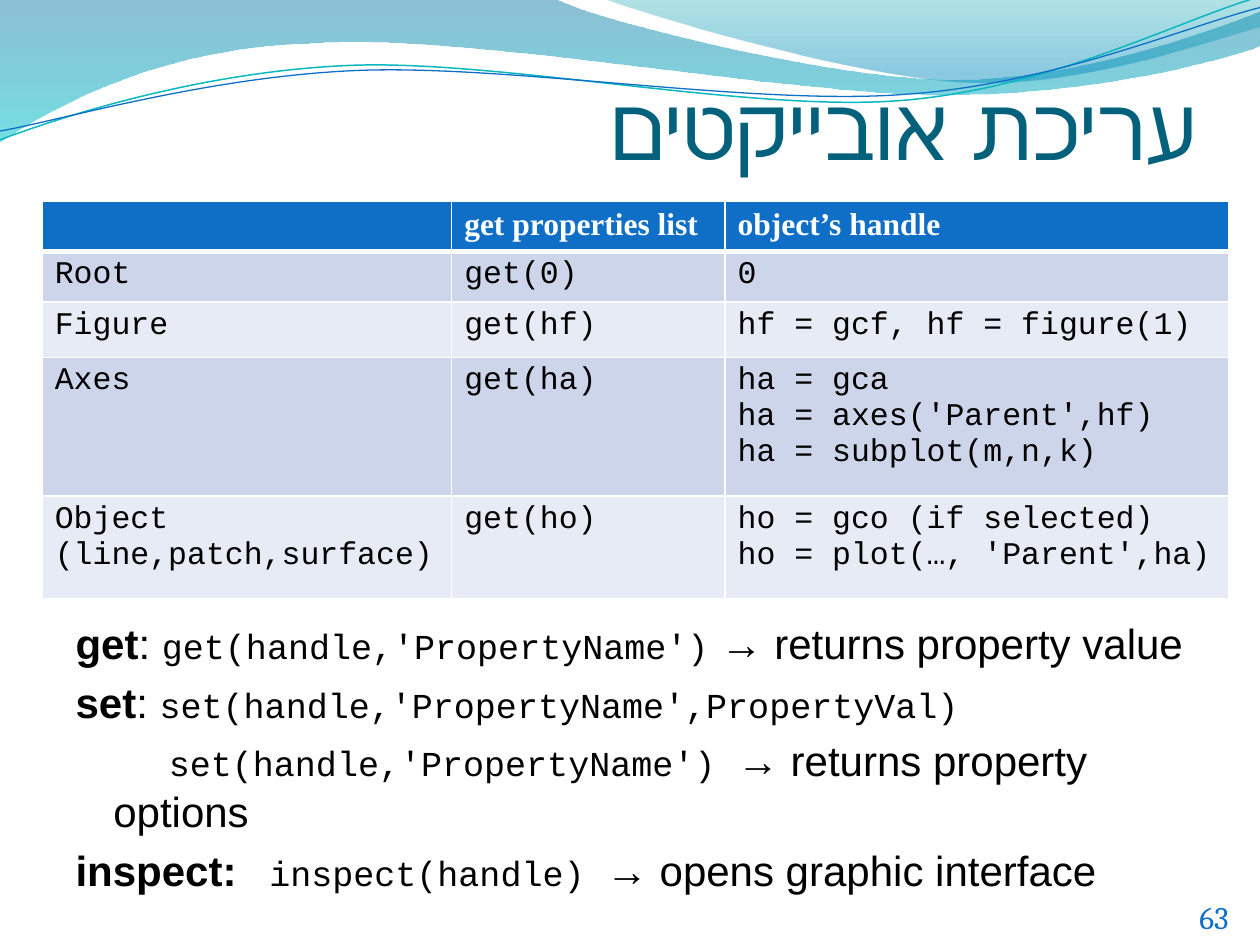
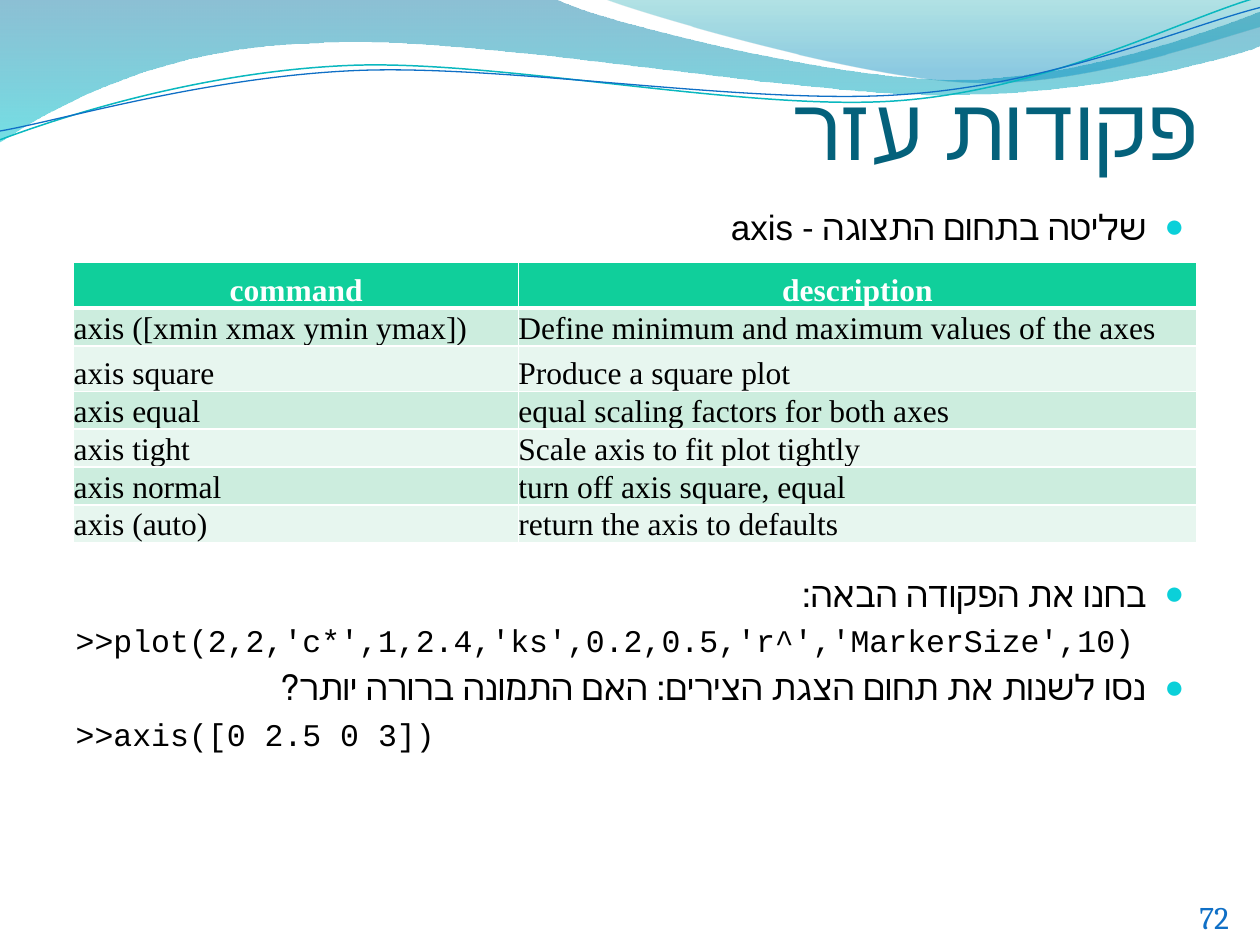
from dataclasses import dataclass

from lxml import etree
from pptx import Presentation
from pptx.dml.color import RGBColor
from pptx.enum.text import MSO_ANCHOR, MSO_AUTO_SIZE, PP_ALIGN
from pptx.oxml.ns import qn
from pptx.util import Inches, Pt

BOTTOM, TOP = MSO_ANCHOR.BOTTOM, MSO_ANCHOR.TOP
LEFT, CENTER, RIGHT = PP_ALIGN.LEFT, PP_ALIGN.CENTER, PP_ALIGN.RIGHT
NO_FIT = MSO_AUTO_SIZE.NONE
COLUMNS, ROWS = 100, 75


@dataclass(frozen=True)
class Type:
    font: str
    size: float
    color: str = "000000"
    bold: bool = False


@dataclass(frozen=True)
class Theme:
    title = Type("Arial", 50, "04617B")
    number = Type("Cambria", 18, "0F6FC6")
    text = Type("Arial", 24)
    strong = Type("Arial", 24, bold=True)
    code = Type("Courier New", 20)
    point = Type("Arial", 20)
    command = Type("Courier New", 18)
    table_head = Type("Times New Roman", 18, "FFFFFF", True)
    table_text = Type("Times New Roman", 18)
    bullet = "0BD0D9"
    border = "FFFFFF"
    blue_table = ("0F6FC6", "CCD5EA", "E7EBF5")
    green_table = ("10CF9B", "CCEDDE", "E7F6EF")
    wide_wave = ((0, "0074A1", 45), (1, "00C6CF", 55))
    right_wave = ((0, "00A1A9", 30), (0.8, "008BBF", 45))
    teal_line = ("0AB8BF", 0.85)
    blue_line = ("0F6FC6", 0.75)


WIDE_WAVE = [(0, 0), (44, -0.1), (47.6, 1.7, 66.4, 6.3, 75.8, 6.3),
             (85.3, 6.3, 95.8, 2.6, 100, 0.9), (100.1, 3.6),
             (98.3, 4.4, 87, 7.6, 74.6, 7.5), (62.2, 7.5, 38.2, 2.8, 25.7, 3.4),
             (12.9, 3.6, 4.6, 8.3, -0.1, 11.3), (0, 0)]
RIGHT_WAVE = [(47.9, -0.1), (50.9, 1.1, 68.2, 6.2, 76.9, 6.5),
              (85.6, 6.9, 96.1, 3.2, 100, 2.1), (100, 0), (47.9, -0.1)]
TEAL_LINE = [(0, 11.1), (4.8, 9.3, 15.8, 5.7, 27.7, 5.2),
             (39.5, 4.7, 59.3, 8.9, 71.3, 8), (83.3, 7.1, 93.8, 1.5, 99.8, -0.2)]
BLUE_LINE = [(0, 10.4), (4.7, 9.6, 16.4, 6.1, 28.3, 5.6),
             (40.3, 5.1, 59.7, 8.4, 71.7, 7.5), (83.6, 6.7, 94.1, 2.1, 100, 0.6)]


def bend(sp, outline):
    """Turn each three-point step of a freeform into one cubic curve."""
    lines = iter(list(sp._element.iter(qn("a:lnTo"))))
    for step in outline[1:]:
        group = [next(lines) for _ in range(len(step) // 2)]
        if len(group) == 3:
            curve = etree.Element(qn("a:cubicBezTo"))
            group[0].addprevious(curve)
            for line in group:
                curve.append(line[0])
                line.getparent().remove(line)


class Deck:
    """Hold the theme, the presentation and the current slide."""

    def __init__(self, theme):
        self.theme = theme
        self.prs = Presentation()
        self.prs.slide_width, self.prs.slide_height = Inches(10), Inches(7.5)
        self.layout = self.prs.slide_layouts[1]
        self.s = None

    def x(self, columns):
        return round(columns * self.prs.slide_width / COLUMNS)

    def y(self, rows):
        return round(rows * self.prs.slide_height / ROWS)

    def box(self, left, top, width, height):
        return self.x(left), self.y(top), self.x(width), self.y(height)

    def place(self, sp, *box):
        sp.left, sp.top, sp.width, sp.height = self.box(*box)

    def style_run(self, r, kind):
        r.font.name, r.font.size, r.font.bold = kind.font, Pt(kind.size), kind.bold
        r.font.color.rgb = RGBColor.from_string(kind.color)

    def style(self, p, kind):
        for r in p.runs:
            self.style_run(r, kind)

    def wave(self, outline, index, stops=None, line=None):
        points = [(self.x(step[i]), self.y(step[i + 1]))
                  for step in outline for i in range(0, len(step), 2)]
        builder = self.s.shapes.build_freeform(*points[0])
        builder.add_line_segments(points[1:], close=bool(stops))
        sp = builder.convert_to_shape()
        bend(sp, outline)
        sp.shadow.inherit = False
        if stops:
            sp.line.fill.background()
            sp.fill.gradient()
            sp.fill.gradient_angle = 270
            for stop, (position, color, _) in zip(sp.fill.gradient_stops, stops):
                stop.position = position
                stop.color.rgb = RGBColor.from_string(color)
            for clr, stop in zip(sp._element.iter(qn("a:srgbClr")), stops):
                etree.SubElement(clr, qn("a:alpha"), val=str(stop[2] * 1000))
        else:
            sp.fill.background()
            sp.line.color.rgb = RGBColor.from_string(line[0])
            sp.line.width = Pt(line[1])
        sp._element.nvSpPr.cNvPr.set("id", str(20 + index))
        self.layout.shapes._spTree.insert(2 + index, sp._element)

    def waves(self):
        self.wave(WIDE_WAVE, 0, stops=self.theme.wide_wave)
        self.wave(RIGHT_WAVE, 1, stops=self.theme.right_wave)
        self.wave(TEAL_LINE, 2, line=self.theme.teal_line)
        self.wave(BLUE_LINE, 3, line=self.theme.blue_line)

    def slide(self, title, number):
        first = self.s is None
        self.s = self.prs.slides.add_slide(self.layout)
        if first:
            self.waves()
        sp = self.s.shapes.title
        self.place(sp, 5, 0, 90, 14.15)
        tf = sp.text_frame
        tf.text = title
        tf.auto_size, tf.vertical_anchor = NO_FIT, BOTTOM
        tf.margin_left = tf.margin_right = tf.margin_bottom = 0
        p = tf.paragraphs[0]
        p.alignment = RIGHT
        p._p.get_or_add_pPr().set("rtl", "1")
        self.style(p, self.theme.title)
        tf = self.s.shapes.add_textbox(*self.box(94.2, 70.8, 5.8, 4)).text_frame
        tf.word_wrap = True
        tf.text = str(number)
        self.style(tf.paragraphs[0], self.theme.number)

    def body(self, top, height):
        sp = self.s.placeholders[1]
        self.place(sp, 5, top, 90, height)
        sp.text_frame.auto_size = NO_FIT
        sp.text_frame.vertical_anchor = TOP
        return sp.text_frame

    def paragraph(self, tf, runs, bullet=False, before=4.0, indent=-3.0):
        p = tf.paragraphs[0] if not tf.text else tf.add_paragraph()
        for text, kind in runs:
            r = p.add_run()
            r.text = text
            self.style_run(r, kind)
        p.alignment = RIGHT if bullet else LEFT
        p.space_before = Pt(before)
        pPr = p._p.get_or_add_pPr()
        pPr.set("marL", str(self.x(3)))
        pPr.set("indent", str(self.x(indent)))
        pPr.set("rtl", str(int(bullet)))
        if not bullet:
            etree.SubElement(pPr, qn("a:buNone"))
            return
        clr = etree.SubElement(pPr, qn("a:buClr"))
        etree.SubElement(clr, qn("a:srgbClr"), val=self.theme.bullet)
        etree.SubElement(pPr, qn("a:buSzPct"), val="95000")
        etree.SubElement(pPr, qn("a:buChar"), char="●")

    def borders(self, cell, row):
        tcPr = cell._tc.get_or_add_tcPr()
        for i, side in enumerate("LRTB"):
            heavy = (row, side) in ((0, "B"), (1, "T"))
            ln = etree.Element(qn(f"a:ln{side}"), w=str(Pt(3 if heavy else 1)))
            fill = etree.SubElement(ln, qn("a:solidFill"))
            etree.SubElement(fill, qn("a:srgbClr"), val=self.theme.border)
            tcPr.insert(i, ln)

    def cell_text(self, cell, text, kind, align):
        cell.text_frame.text = text
        for p in cell.text_frame.paragraphs:
            p.alignment = align
            self.style(p, kind)
            end = etree.SubElement(p._p, qn("a:endParaRPr"), sz=str(kind.size * 100))
            etree.SubElement(end, qn("a:latin"), typeface=kind.font)

    def table(self, left, top, widths, heights, rows, fills, kind, tight=False):
        box = self.box(left, top, sum(widths), sum(heights))
        table = self.s.shapes.add_table(len(rows), len(widths), *box).table
        for column, width in zip(table.columns, widths):
            column.width = self.x(width)
        for i, (row, height) in enumerate(zip(rows, heights)):
            table.rows[i].height = self.y(height)
            for j, text in enumerate(row):
                cell = table.cell(i, j)
                self.cell_text(cell, text, kind if i else self.theme.table_head,
                               CENTER if tight and i == 0 else LEFT)
                cell.fill.solid()
                color = fills[0] if i == 0 else fills[2 - i % 2]
                cell.fill.fore_color.rgb = RGBColor.from_string(color)
                self.borders(cell, i)
                if tight:
                    cell.margin_left = cell.margin_right = 0
                    cell.margin_top = cell.margin_bottom = 0
                    cell.vertical_anchor = BOTTOM


def object_editing(deck):
    """Build the slide on editing graphic objects."""
    t = deck.theme
    deck.slide("עריכת אובייקטים", 63)
    tf = deck.body(48.5, 22)
    deck.paragraph(tf, [("get", t.strong), (": ", t.text),
                        ("get(handle,'PropertyName')", t.code),
                        (" → returns property value", t.text)], before=4.8)
    deck.paragraph(tf, [("set", t.strong), (": ", t.text),
                        ("set(handle,'PropertyName',PropertyVal)", t.code)], before=4.8)
    deck.paragraph(tf, [("set(handle,'PropertyName') ", t.code),
                        ("→ returns property options", t.text)], before=4.8, indent=4.4)
    deck.paragraph(tf, [("inspect: ", t.strong), (" inspect(handle) ", t.code),
                        ("→ opens graphic interface", t.text)], before=4.8)
    rows = [
        ("", "get properties list", "object’s handle"),
        ("Root", "get(0)", "0"),
        ("Figure", "get(hf)", "hf = gcf, hf = figure(1)"),
        ("Axes", "get(ha)", "ha = gca\nha = axes('Parent',hf)\nha = subplot(m,n,k)"),
        ("Object (line,patch,surface)", "get(ho)",
         "ho = gco (if selected)\nho = plot(…, 'Parent',ha)"),
    ]
    deck.table(3.35, 15.95, (32.5, 21.7, 40), (3.3, 3.6, 4.4, 11, 8.2), rows,
               t.blue_table, t.command)


def helper_commands(deck):
    """Build the slide on the axis helper commands."""
    t = deck.theme
    deck.slide("פקודות עזר", 72)
    tf = deck.body(15.8, 53.3)
    deck.paragraph(tf, [("שליטה בתחום התצוגה - axis", t.point)], bullet=True)
    deck.paragraph(tf, [("בחנו את הפקודה הבאה:", t.point)], bullet=True, before=185.5)
    deck.paragraph(tf, [(">>plot(2,2,'c*',1,2.4,'ks',0.2,0.5,'r^','MarkerSize',10)",
                         t.command)])
    deck.paragraph(tf, [("נסו לשנות את תחום הצגת הצירים: האם התמונה ברורה יותר?",
                         t.point)], bullet=True)
    deck.paragraph(tf, [(">>axis([0 2.5 0 3])", t.command)])
    rows = [
        ("command", "description"),
        ("axis ([xmin xmax ymin ymax])", "Define minimum and maximum values of the axes"),
        ("axis square", "Produce a square plot"),
        ("axis equal", "equal scaling factors for both axes"),
        ("axis tight", "Scale axis to fit plot tightly"),
        ("axis normal", "turn off axis square, equal"),
        ("axis (auto)", "return the axis to defaults"),
    ]
    heights = [3.6 if i in (0, 2) else 2.7 for i in range(len(rows))]
    deck.table(5.85, 20.85, (35.3, 53.8), heights, rows, t.green_table, t.table_text,
               tight=True)


def main():
    """Build both slides and save them."""
    deck = Deck(Theme())
    object_editing(deck)
    helper_commands(deck)
    deck.prs.save("out.pptx")


if __name__ == "__main__":
    main()
